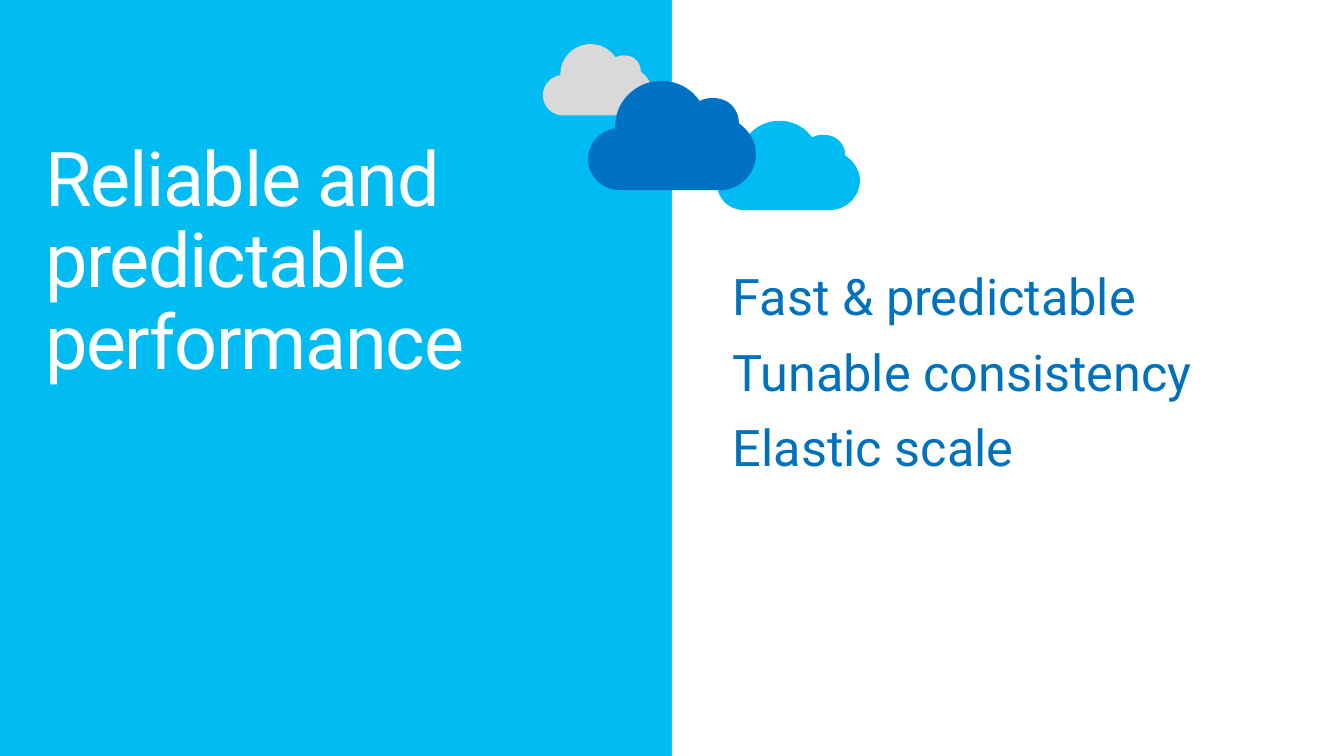
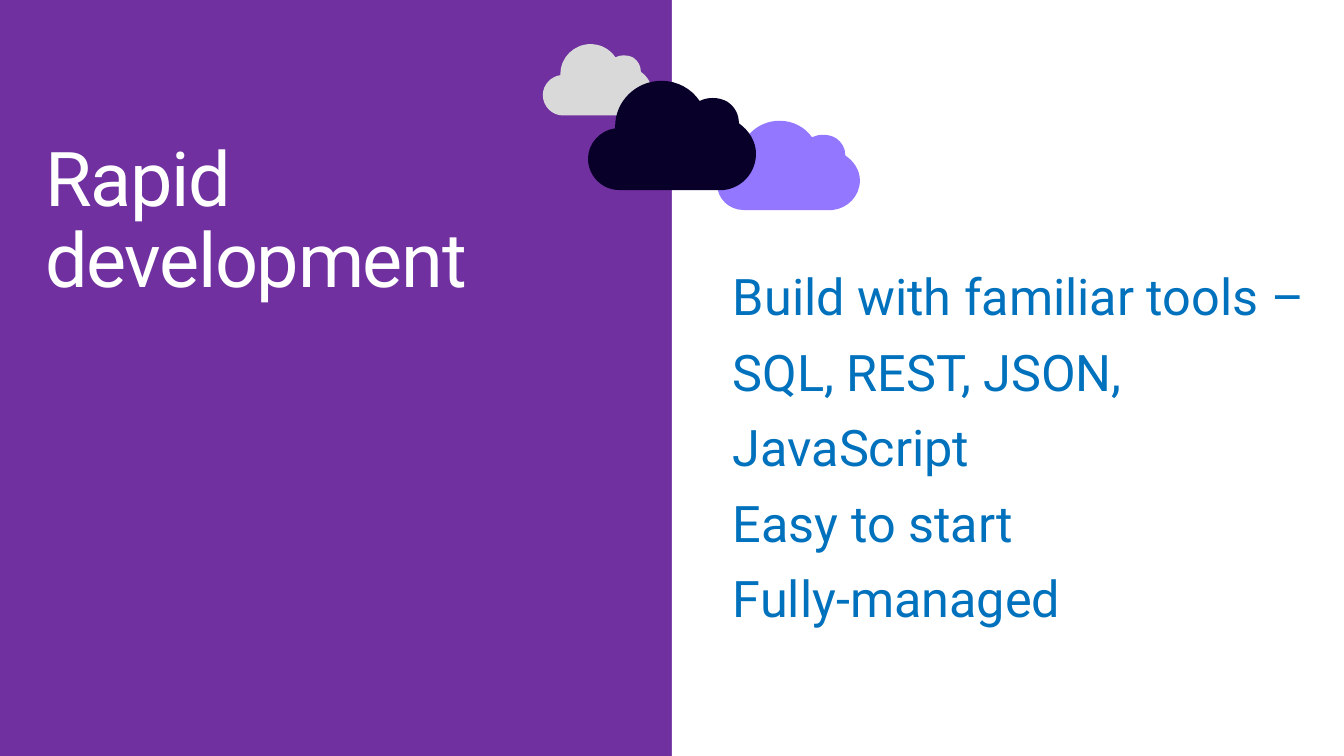
from dataclasses import dataclass

from lxml import etree
from pptx import Presentation
from pptx.dml.color import RGBColor
from pptx.enum import shapes, text
from pptx.oxml import ns
from pptx.util import Pt

EMU_PER_PX = 9525


@dataclass(frozen=True)
class Theme:
    font: str = "Roboto"
    title_size: int = 54
    body_size: int = 36
    title_spacing: int = -95
    white: str = "FFFFFF"
    body: str = "0071BC"
    grey: str = "D9D9D9"
    sky: str = "00BCF2"
    blue: str = "0072C6"
    purple: str = "7030A0"
    lilac: str = "9377FF"
    night: str = "09002A"


@dataclass(frozen=True)
class Box:
    x: int
    y: int
    w: int
    h: int

    def emu(self) -> tuple:
        return tuple(px(v) for v in (self.x, self.y, self.w, self.h))


@dataclass(frozen=True)
class TextStyle:
    size: int
    color: str
    line_spacing: float
    spacing: int = 0


@dataclass(frozen=True)
class SplitSlide:
    title: str
    items: tuple
    body_width: int
    background: str
    side_cloud: str
    front_cloud: str


THEME = Theme()
TITLE = TextStyle(THEME.title_size, THEME.white, 0.9, THEME.title_spacing)
BODY = TextStyle(THEME.body_size, THEME.body, 1.25)
TITLE_BOX = Box(28, 124, 847, 283)
PANEL = Box(640, 0, 640, 720)
BACK_CLOUD = Box(517, 42, 104, 68)
SIDE_CLOUD = Box(683, 115, 136, 85)
FRONT_CLOUD = Box(560, 77, 160, 104)

CLOUD_WIDTH, CLOUD_HEIGHT = 167, 108
CLOUD_START = (27, 47)
CLOUD_CURVES = (
    ((27, 47), (27, 46), (27, 45)),
    ((27, 20), (48, 0), (73, 0)),
    ((89, 0), (103, 8), (111, 20)),
    ((115, 18), (119, 17), (124, 17)),
    ((129, 17), (134, 18), (139, 21)),
    ((146, 26), (150, 33), (150, 42)),
    ((160, 49), (167, 60), (167, 72)),
    ((167, 91), (153, 106), (135, 108)),
    ((133, 108), (132, 108), (131, 108)),
    ((130, 108), (128, 108), (127, 108)),
    ((110, 108), (71, 108), (52, 108)),
    ((52, 108), (51, 108), (51, 108)),
    ((49, 108), (49, 108), (49, 108)),
    ((48, 108), (45, 108), (43, 108)),
    ((31, 108), (31, 108), (31, 108)),
    ((14, 108), (0, 94), (0, 77)),
    ((0, 62), (12, 49), (27, 47)),
)

SLIDES = (
    SplitSlide(
        "Reliable and\npredictable\nperformance",
        ("Fast & predictable", "Tunable consistency", "Elastic scale"),
        578, THEME.sky, THEME.sky, THEME.blue,
    ),
    SplitSlide(
        "Rapid\ndevelopment",
        ("Build with familiar tools – SQL, REST, JSON, JavaScript",
         "Easy to start\nFully-managed"),
        597, THEME.purple, THEME.lilac, THEME.night,
    ),
)


def px(value: int) -> int:
    return value * EMU_PER_PX


def paint(sp, color: str) -> None:
    sp.shadow.inherit = False
    sp.fill.solid()
    sp.fill.fore_color.rgb = RGBColor.from_string(color)
    sp.line.fill.background()


def curve_outline(sp) -> None:
    lines = list(sp.element.iter(ns.qn("a:lnTo")))
    for i in range(0, len(lines), 3):
        curve = etree.Element(ns.qn("a:cubicBezTo"))
        lines[i].addprevious(curve)
        for line in lines[i:i + 3]:
            curve.append(line[0])
            line.getparent().remove(line)


def add_cloud(s, box: Box, color: str) -> None:
    x, y, w, h = box.emu()
    builder = s.shapes.build_freeform(*CLOUD_START, (w / CLOUD_WIDTH, h / CLOUD_HEIGHT))
    builder.add_line_segments([point for curve in CLOUD_CURVES for point in curve], close=False)
    sp = builder.convert_to_shape(x, y)
    curve_outline(sp)
    outline = next(sp.element.iter(ns.qn("a:path")))
    etree.SubElement(outline, ns.qn("a:close"))
    paint(sp, color)


def add_run(p, content: str, style: TextStyle) -> None:
    r = p.add_run()
    r.text = content
    r.font.name = THEME.font
    r.font.size = Pt(style.size)
    r.font.color.rgb = RGBColor.from_string(style.color)
    if style.spacing:
        r.font._element.set("spc", str(style.spacing))


def add_text(s, box: Box, paragraphs: tuple, style: TextStyle) -> None:
    tf = s.shapes.add_textbox(*box.emu()).text_frame
    tf.word_wrap = True
    tf.vertical_anchor = text.MSO_ANCHOR.TOP
    tf.margin_left = tf.margin_right = px(15)
    tf.margin_top = tf.margin_bottom = px(10)
    for i, content in enumerate(paragraphs):
        p = tf.add_paragraph() if i else tf.paragraphs[0]
        p.line_spacing = style.line_spacing
        for j, line in enumerate(content.split("\n")):
            if j:
                p.add_line_break()
            add_run(p, line, style)


def add_split_slide(prs, data: SplitSlide) -> None:
    s = prs.slides.add_slide(prs.slide_layouts[6])
    s.background.fill.solid()
    s.background.fill.fore_color.rgb = RGBColor.from_string(data.background)
    add_text(s, TITLE_BOX, (data.title,), TITLE)
    paint(s.shapes.add_shape(shapes.MSO_SHAPE.RECTANGLE, *PANEL.emu()), THEME.white)
    add_cloud(s, BACK_CLOUD, THEME.grey)
    add_cloud(s, SIDE_CLOUD, data.side_cloud)
    add_cloud(s, FRONT_CLOUD, data.front_cloud)
    add_text(s, Box(683, 228, data.body_width, 420), data.items, BODY)


def main() -> None:
    prs = Presentation()
    prs.slide_width, prs.slide_height = px(1280), px(720)
    for data in SLIDES:
        add_split_slide(prs, data)
    prs.save("out.pptx")


if __name__ == "__main__":
    main()
